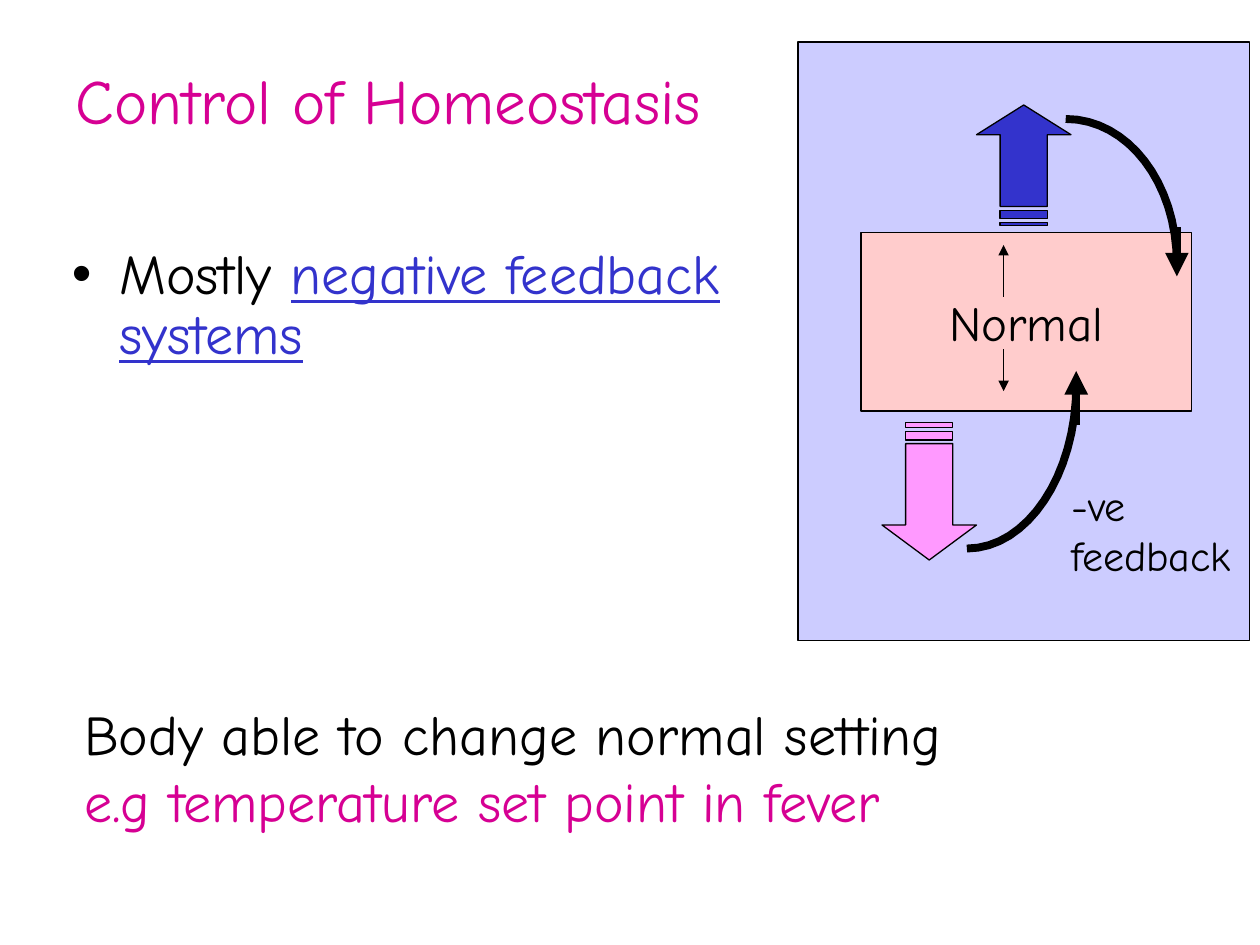
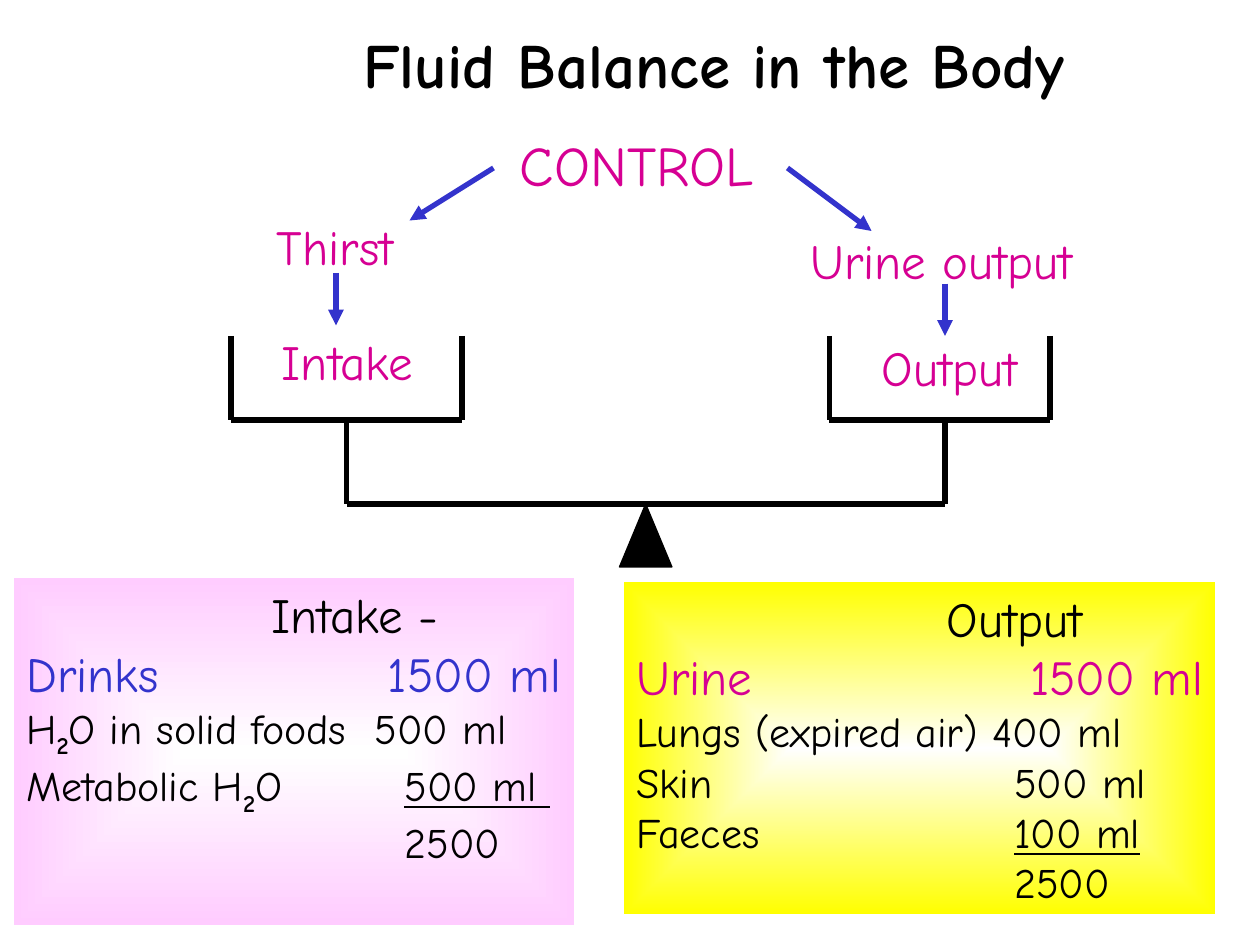
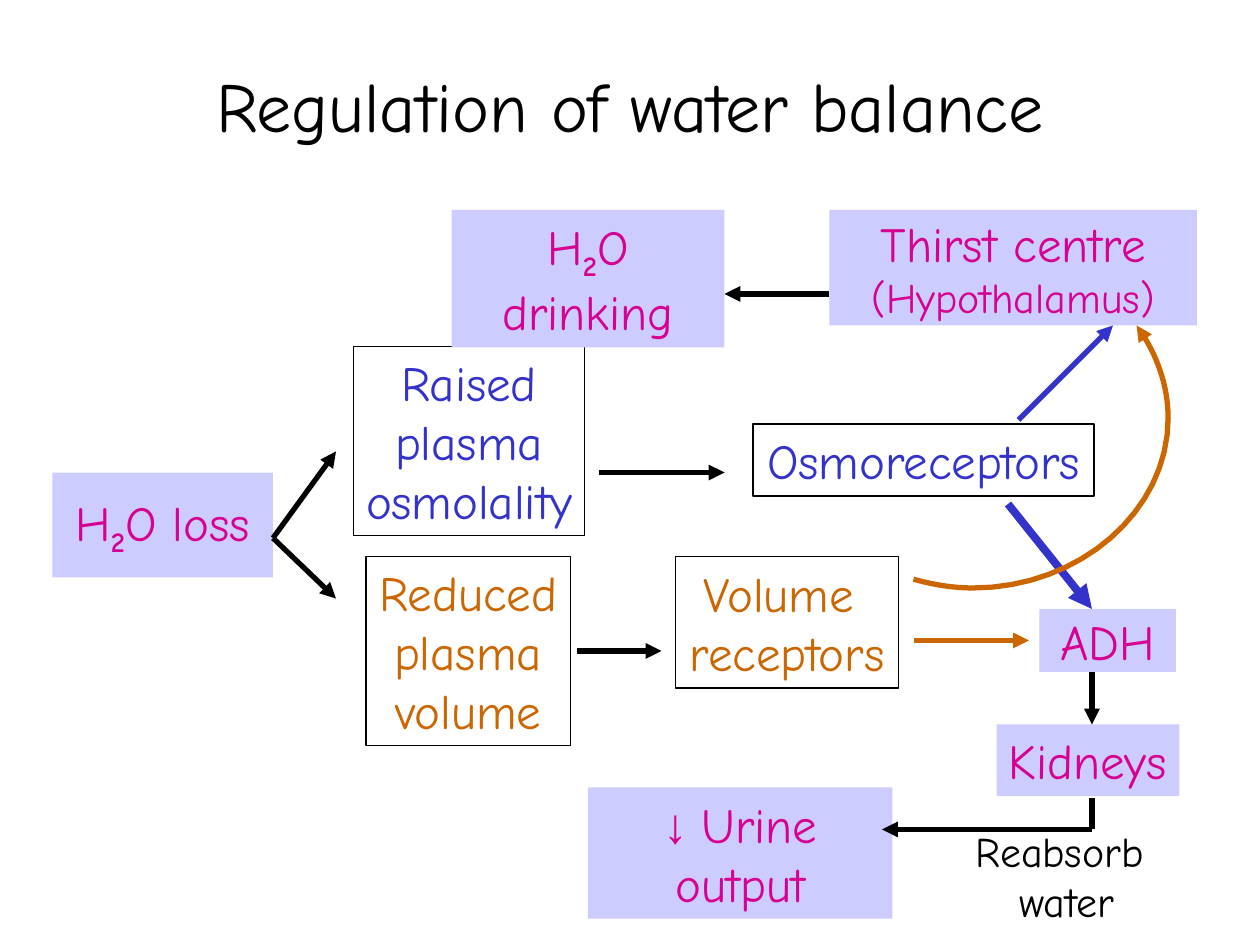
"""Build three slides on homeostasis and water balance."""
import dataclasses

import lxml.etree
import pptx
import pptx.dml.color
import pptx.enum.shapes
import pptx.enum.text
import pptx.oxml.ns
import pptx.util

Pt = pptx.util.Pt
RGBColor = pptx.dml.color.RGBColor
Shape = pptx.enum.shapes.MSO_SHAPE
Align = pptx.enum.text.PP_ALIGN
Anchor = pptx.enum.text.MSO_ANCHOR
qn = pptx.oxml.ns.qn

BLACK = RGBColor(0x00, 0x00, 0x00)
WHITE = RGBColor(0xFF, 0xFF, 0xFF)
MAGENTA = RGBColor(0xD6, 0x00, 0x93)
BLUE = RGBColor(0x33, 0x33, 0xCC)
ORANGE = RGBColor(0xCC, 0x66, 0x00)
LAVENDER = RGBColor(0xCC, 0xCC, 0xFF)
PEACH = RGBColor(0xFF, 0xCC, 0xCC)
PINK = RGBColor(0xFF, 0x99, 0xFF)
PALE_PINK = RGBColor(0xFF, 0xCC, 0xFF)
YELLOW = RGBColor(0xFF, 0xFF, 0x00)

BASE_FONT = {"name": "Comic Neue", "size": Pt(28), "bold": False, "color": BLACK}
FRAME = {"margin_left": Pt(7.2), "margin_right": Pt(7.2), "margin_top": Pt(3.6),
         "margin_bottom": Pt(3.6), "word_wrap": False, "vertical_anchor": Anchor.MIDDLE}
TOP_FRAME = {"word_wrap": True, "vertical_anchor": Anchor.TOP}
BLUE_TEXT = {"color": BLUE}
ORANGE_TEXT = {"color": ORANGE}
MAGENTA_TEXT = {"color": MAGENTA}
SMALL_TEXT = {"size": Pt(24)}
UNDERLINED = {"underline": True}
SUBSCRIPT = {"bold": True, "baseline": "-25000"}
SHALLOW_SUBSCRIPT = {"bold": True, "baseline": "-22000"}
CURVE_STEPS = 16


def add_element(parent, tag, **attributes):
    """Append a drawing element with the given attributes."""
    element = lxml.etree.SubElement(parent, qn(tag))
    for name, value in attributes.items():
        element.set(name, str(value))
    return element


def format_run(run, values):
    """Apply a dict of format values to one run."""
    for name, value in values.items():
        if name == "color":
            run.font.color.rgb = value
        elif name == "baseline":
            run._r.get_or_add_rPr().set(name, value)
        else:
            setattr(run.font, name, value)


def write_text(shape, paragraphs, font=None, frame=None, align=Align.CENTER):
    """Fill a shape with paragraphs, each a string or a list of (text, format) runs."""
    text_frame = shape.text_frame
    for name, value in {**FRAME, **(frame or {})}.items():
        setattr(text_frame, name, value)
    for index, runs in enumerate(paragraphs):
        paragraph = text_frame.add_paragraph() if index else text_frame.paragraphs[0]
        paragraph.alignment = align
        for text, values in [(runs, {})] if isinstance(runs, str) else runs:
            run = paragraph.add_run()
            run.text = text
            format_run(run, {**BASE_FONT, **(font or {}), **values})
    return text_frame


def style_line(shape, color, width, arrow=False):
    """Set line colour, width and end arrowhead, and drop any shadow."""
    shape.line.color.rgb = color
    shape.line.width = Pt(width)
    if arrow:
        add_element(shape.line._get_or_add_ln(), "a:tailEnd", type="triangle")
    properties = shape._element.spPr
    if properties.find(qn("a:effectLst")) is None:
        add_element(properties, "a:effectLst")


def curve_points(start, segments):
    """Return points along a chain of cubic curves."""
    points = [start]
    for first, second, end in segments:
        corners = (points[-1], first, second, end)
        for step in range(1, CURVE_STEPS + 1):
            t = step / CURVE_STEPS
            weights = ((1 - t) ** 3, 3 * t * (1 - t) ** 2, 3 * t * t * (1 - t), t ** 3)
            points.append(tuple(sum(weight * corner[axis] for weight, corner in zip(weights, corners))
                                for axis in (0, 1)))
    return points


@dataclasses.dataclass
class Region:
    """Part of a slide whose contents are placed from its top left corner."""
    slide: object
    left: float
    top: float

    def point(self, position):
        """Turn a position in the region into slide lengths."""
        return Pt(self.left + position[0]), Pt(self.top + position[1])

    def box(self, bounds, fill=None, line=None, width=0.75, preset=Shape.RECTANGLE):
        """Add a preset shape."""
        x, y, box_width, box_height = bounds
        shape = self.slide.shapes.add_shape(preset, *self.point((x, y)), Pt(box_width), Pt(box_height))
        shape.shadow.inherit = False
        if fill is None:
            shape.fill.background()
        else:
            shape.fill.solid()
            shape.fill.fore_color.rgb = fill
        if line is None:
            shape.line.fill.background()
        else:
            style_line(shape, line, width)
        return shape

    def text(self, bounds, paragraphs, **formats):
        """Add a text box."""
        x, y, width, height = bounds
        shape = self.slide.shapes.add_textbox(*self.point((x, y)), Pt(width), Pt(height))
        return write_text(shape, paragraphs, **formats)

    def line(self, start, end, color=BLACK, width=3, arrow=False):
        """Add a straight line."""
        connector = self.slide.shapes.add_connector(
            pptx.enum.shapes.MSO_CONNECTOR.STRAIGHT, *self.point(start), *self.point(end))
        style_line(connector, color, width, arrow)

    def arrow(self, start, end, color=BLACK, width=3):
        """Add a straight arrow."""
        self.line(start, end, color, width, arrow=True)

    def outline(self, contours, color, width, fill=None, arrow=False):
        """Add a freeform; it is closed only when it has a fill."""
        builder = self.slide.shapes.build_freeform(*self.point(contours[0][0]))
        for index, contour in enumerate(contours):
            points = [self.point(position) for position in contour]
            if index:
                builder.move_to(*points[0])
            builder.add_line_segments(points[1:], close=fill is not None)
        shape = builder.convert_to_shape()
        shape.shadow.inherit = False
        if fill is None:
            shape.fill.background()
        else:
            shape.fill.solid()
            shape.fill.fore_color.rgb = fill
        style_line(shape, color, width, arrow)


def add_title(slide, bounds, text, font, align=Align.CENTER, frame=None):
    """Add a slide title."""
    Region(slide, 0, 0).text(bounds, [text], font=font, align=align,
                             frame={"word_wrap": True, **(frame or {})})


def block_arrow(region, center, tip, shoulder, shaft_end, bars, fill):
    """Add a block arrow whose shaft breaks up into bars."""
    left, right = center - 13.5, center + 13.5
    head = [(center - 27, shoulder), (left, shoulder), (left, shaft_end), (right, shaft_end),
            (right, shoulder), (center + 27, shoulder), (center, tip)]
    stripes = [[(left, top), (right, top), (right, bottom), (left, bottom)] for top, bottom in bars]
    region.outline([head, *stripes], BLACK, 0.75, fill)


def feedback_diagram(region):
    """Draw the negative feedback panel."""
    region.box((0, 0, 258, 342), LAVENDER, BLACK)
    write_text(region.box((36, 109, 189, 102), PEACH, BLACK), ["Normal"])
    block_arrow(region, 129, 36, 53, 94, [(96.5, 101), (103, 105)], BLUE)
    block_arrow(region, 75, 296, 276, 229.5, [(222.5, 227.5), (217.5, 220.5)], PINK)
    for start, end in ((145.5, 116), (175.5, 199.5)):
        region.arrow((117.5, start), (117.5, end), width=0.75)
    returns = [
        ((96.5, 289.5), ((131, 289.5), (159, 247.5), (159, 196)), 219, 188),
        ((153, 44), ((188.5, 44), (216.5, 80.5), (216.5, 126.5)), 106, 134),
    ]
    for start, segment, arrow_start, arrow_end in returns:
        region.outline([curve_points(start, [segment])], BLACK, 4.5)
        x = segment[-1][0]
        region.arrow((x, arrow_start), (x, arrow_end), width=4.5)
    region.text((149, 246, 106, 65), ["-ve", "feedback"], font=SMALL_TEXT, align=Align.LEFT)


def homeostasis_slide(slide):
    """Build the slide on control of homeostasis."""
    add_title(slide, (36, 18, 420, 78), "Control of Homeostasis",
              {"size": Pt(36), "color": MAGENTA}, Align.LEFT)
    notes = Region(slide, 34, 137)
    runs = [("Mostly ", {}), ("negative feedback systems", {**BLUE_TEXT, **UNDERLINED})]
    body = notes.text((0, 0, 414, 94), [runs], font={"size": Pt(32)}, frame=TOP_FRAME, align=Align.LEFT)
    paragraph = body.paragraphs[0]
    paragraph.line_spacing = 0.9
    properties = paragraph._p.get_or_add_pPr()
    properties.set("marL", str(Pt(27)))
    properties.set("indent", str(Pt(-27)))
    add_element(add_element(properties, "a:buClr"), "a:srgbClr", val=BLACK)
    add_element(properties, "a:buFont", typeface="Arial")
    add_element(properties, "a:buChar", char="•")
    feedback_diagram(Region(slide, 456, 24))
    notes.text((7, 259, 607, 122),
               ["Body able to change normal setting", [("e.g temperature set point in fever", MAGENTA_TEXT)]],
               font={"size": Pt(32)}, frame=TOP_FRAME, align=Align.LEFT)


def control_tree(region):
    """Draw the control labels and the arrows to the scale."""
    region.text((122, 0, 184, 46), ["CONTROL"], font={"size": Pt(32), "color": MAGENTA})
    region.text((1, 49, 81, 41), ["Thirst"], font=MAGENTA_TEXT)
    region.text((306, 57, 164, 41), ["Urine output"], font=MAGENTA_TEXT)
    for start, end in (((132, 25), (84, 55)), ((300, 25), (348, 61)),
                       ((42, 85), (42, 115)), ((390, 91), (390, 121))):
        region.arrow(start, end, BLUE)


def balance_scale(region):
    """Draw the scale with its two pans."""
    pans = [(0, 132, 66, "Intake", (18, -6)), (342, 468, 408, "Output", (362, -3))]
    for left, right, stem, label, corner in pans:
        region.line((left, 48), (right, 48))
        for x in (left, right):
            region.line((x, 0), (x, 48))
        region.line((stem, 48), (stem, 96))
        region.text((*corner, 97, 41), [label], font=MAGENTA_TEXT)
    region.line((66, 96), (408, 96))
    region.box((222, 96, 30, 36), BLACK, BLACK, preset=Shape.ISOSCELES_TRIANGLE)


def volume_panel(region, size, color, rows):
    """Draw a gradient panel of volumes, each row a tab stop and its runs."""
    panel = region.box((0, 0, *size), WHITE)
    panel.fill.gradient()
    for stop, stop_color, position in zip(panel.fill.gradient_stops, (WHITE, color), (0, 1)):
        stop.color.rgb = stop_color
        stop.position = position
    gradient = panel._element.spPr.find(qn("a:gradFill"))
    gradient.remove(gradient.find(qn("a:lin")))
    path = add_element(gradient, "a:path", path="rect")
    add_element(path, "a:fillToRect", l=50000, t=50000, r=50000, b=50000)
    frame = write_text(panel, [runs for _, runs in rows], font=SMALL_TEXT,
                       frame={**TOP_FRAME, "margin_right": 0}, align=Align.LEFT)
    for paragraph, (tab, _) in zip(frame.paragraphs, rows):
        tabs = add_element(paragraph._p.get_or_add_pPr(), "a:tabLst")
        add_element(tabs, "a:tab", pos=Pt(tab), algn="l")


def fluid_slide(slide):
    """Build the slide on fluid balance."""
    add_title(slide, (102, 6, 612, 60), "Fluid Balance in the Body", {"size": Pt(36), "bold": True})
    balance_scale(Region(slide, 132, 192))
    heading = {"size": Pt(28)}
    volume_panel(Region(slide, 8, 330.5), (320, 198), PALE_PINK, [
        (140, [("\tIntake -", heading)]),
        (206.5, [("Drinks\t1500 ml", {**heading, **BLUE_TEXT})]),
        (199, [("H", {}), ("2", SUBSCRIPT), ("O in solid foods\t500 ml", {})]),
        (216, [("Metabolic H", {}), ("2", SUBSCRIPT), ("O\t", {}), ("500 ml ", UNDERLINED)]),
        (216, "\t2500"),
    ])
    volume_panel(Region(slide, 356.5, 332.5), (338, 190), YELLOW, [
        (177.5, [("\tOutput", heading)]),
        (225, [("Urine\t1500 ml", {**heading, **MAGENTA_TEXT})]),
        (216, "Lungs (expired air) 400 ml"),
        (216, "Skin\t500 ml"),
        (216, [("Faeces\t", {}), ("100 ml", UNDERLINED)]),
        (216, "\t2500"),
    ])
    control_tree(Region(slide, 150, 71))


def regulation_diagram(region):
    """Draw the flow from water loss to drinking and urine output."""
    framed = [
        ((172, 78, 132, 108), ["Raised", "plasma", "osmolality"], BLUE_TEXT),
        ((179, 198, 117, 108), ["Reduced", "plasma", "volume"], ORANGE_TEXT),
        ((400.5, 122.5, 194.5, 41), ["Osmoreceptors"], BLUE_TEXT),
        ((356, 198, 127.5, 75), ["Volume ", "receptors"], ORANGE_TEXT),
    ]
    for bounds, paragraphs, font in framed:
        write_text(region.box(bounds, line=BLACK, width=1), paragraphs, font=font)
    water = [("H", {}), ("2", SHALLOW_SUBSCRIPT)]
    urine = [("↓ ", {"name": "Arial", "bold": True}), ("Urine output", {})]
    filled = [
        ((0, 150, 126, 60), [water + [("O loss", {})]], False),
        ((444, 0, 210, 66), ["Thirst centre", [("(Hypothalamus)", SMALL_TEXT)]], False),
        ((228, 0, 156, 78.5), [water + [("O drinking", {})]], True),
        ((564, 228, 78, 36), ["ADH"], False),
        ((539.5, 294, 104.5, 41), ["Kidneys"], False),
        ((306, 330, 174, 75), [urine], True),
    ]
    for bounds, paragraphs, wrap in filled:
        write_text(region.box(bounds, LAVENDER), paragraphs, font=MAGENTA_TEXT, frame={"word_wrap": wrap})
    arrows = [
        ((126, 187.5), (162, 138), BLACK, 3),
        ((126, 187.5), (162, 222), BLACK, 3),
        ((312, 150), (384, 150), BLACK, 3),
        ((300, 252), (348, 252), BLACK, 3),
        ((552, 120), (606, 66), BLUE, 3),
        ((444, 48), (384, 48), BLACK, 3),
        ((546, 168), (594, 228), BLUE, 4.5),
        ((594, 264), (594, 294), BLACK, 3),
        ((594, 354), (474, 354), BLACK, 3),
        ((492, 246), (558, 246), ORANGE, 3),
    ]
    for start, end, color, width in arrows:
        region.arrow(start, end, color, width)
    region.line((594, 336), (594, 354))
    volume_to_thirst = curve_points((492, 211), [
        ((503, 214), (514, 216), (526, 216)),
        ((587, 216), (637.5, 172), (637.5, 119)),
        ((637.5, 100), (631, 82), (619.5, 66)),
    ])
    region.outline([volume_to_thirst], ORANGE, 3, arrow=True)
    region.text((520, 348, 119, 65), ["Reabsorb ", "water"], font=SMALL_TEXT)


def regulation_slide(slide):
    """Build the slide on regulation of water balance."""
    add_title(slide, (54, 30, 612, 108), "Regulation of water balance", {"size": Pt(40)},
              frame={"margin_bottom": Pt(52)})
    regulation_diagram(Region(slide, 30, 120))


def main():
    """Build and save the presentation."""
    presentation = pptx.Presentation()
    presentation.slide_width = Pt(720)
    presentation.slide_height = Pt(540)
    blank = presentation.slide_layouts[6]
    for build in (homeostasis_slide, fluid_slide, regulation_slide):
        build(presentation.slides.add_slide(blank))
    presentation.save("out.pptx")


if __name__ == "__main__":
    main()
